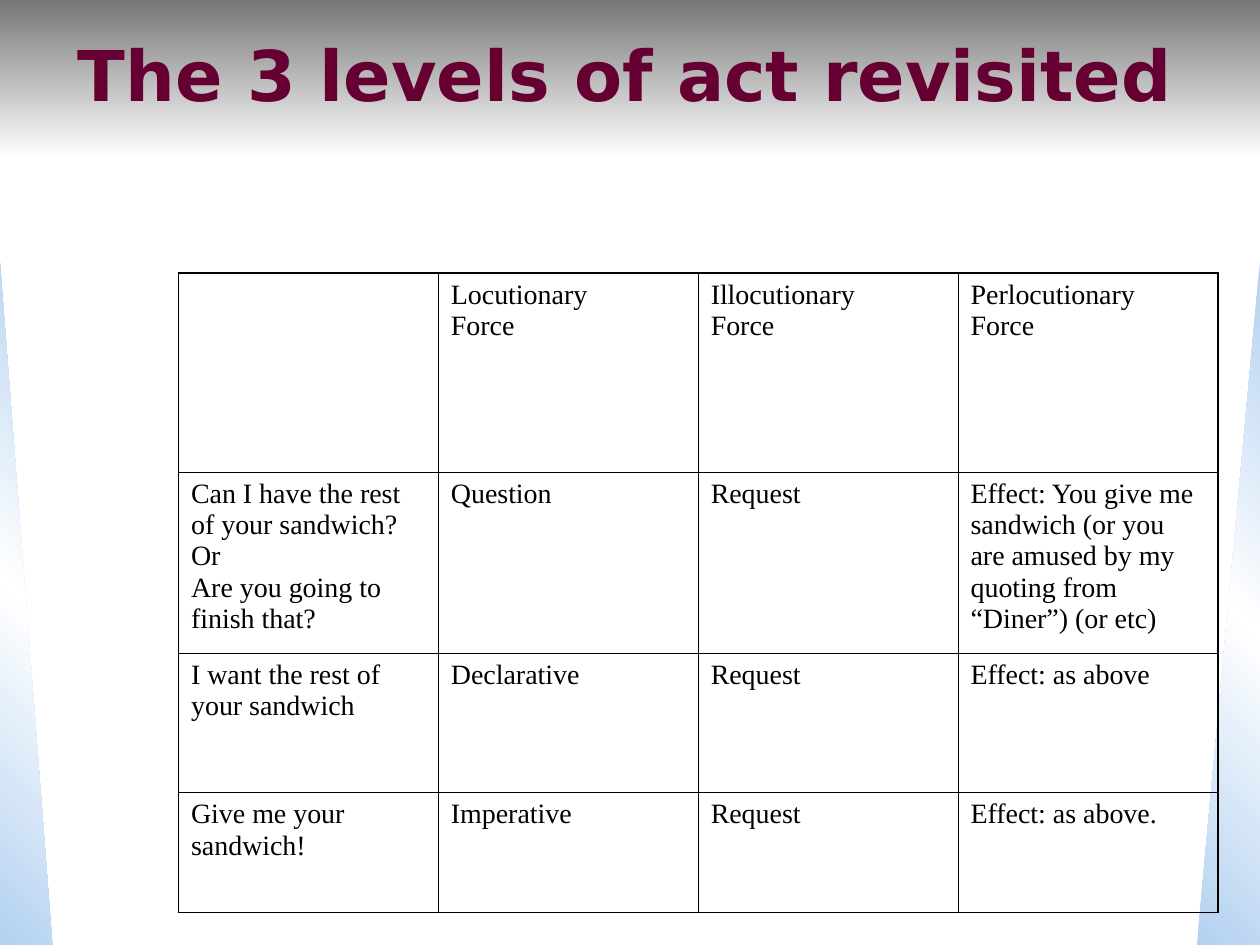
from copy import deepcopy

from lxml.etree import SubElement
from pptx import Presentation
from pptx.dml.color import RGBColor
from pptx.enum.shapes import MSO_SHAPE as Preset
from pptx.enum.text import MSO_ANCHOR as Anchor, PP_ALIGN as Align
from pptx.oxml.ns import qn
from pptx.util import Inches, Pt

BLACK = RGBColor(0x00, 0x00, 0x00)
WHITE = RGBColor(0xFF, 0xFF, 0xFF)
GRAY = RGBColor(0x77, 0x77, 0x77)
SKY = RGBColor(0xB3, 0xD1, 0xF0)
PLUM = RGBColor(0x66, 0x00, 0x33)

TITLE_FONT = {"name": "DejaVu Sans", "size": Pt(40), "bold": True}
CELL_FONT = {"name": "Times New Roman", "size": Pt(16), "bold": False}
OUTER, INNER = Pt(1.08), Pt(0.45)

ROW_HEIGHTS = [1.9, 1.72, 1.33, 1.14]
ACTS = [
    ["", "Locutionary\nForce", "Illocutionary\nForce", "Perlocutionary\nForce"],
    ["Can I have the rest of your sandwich?\nOr\nAre you going to finish that?",
     "Question", "Request",
     "Effect: You give me sandwich (or you are amused by my quoting from "
     "“Diner”) (or etc)"],
    ["I want the rest of your sandwich", "Declarative", "Request",
     "Effect: as above"],
    ["Give me your sandwich!", "Imperative", "Request", "Effect: as above."],
]


class SlideBuilder:
    """Places elements on a grid of 12 columns by 9 rows."""

    def __init__(self):
        self.deck = Presentation()
        self.deck.slide_width, self.deck.slide_height = Inches(10), Inches(7.5)
        self.unit = self.deck.slide_width / 12
        self.page = self.deck.slides.add_slide(self.deck.slide_layouts[5])
        fill = self.page.background.fill
        fill.solid()
        fill.fore_color.rgb = WHITE

    def grid(self, *lengths):
        return [round(length * self.unit) for length in lengths]

    def style(self, para, format_values, color):
        for name, value in format_values.items():
            setattr(para.font, name, value)
        para.font.color.rgb = color

    def gradient_shape(self, preset, area, colors, angle, flipped=False):
        shape = self.page.shapes.add_shape(preset, *self.grid(*area))
        shape.shadow.inherit = False
        shape.line.fill.background()
        shape.fill.gradient()
        # python-pptx counts the angle counter-clockwise
        shape.fill.gradient_angle = 360 - angle
        stop_list = shape._element.spPr.find(".//" + qn("a:gsLst"))
        while len(stop_list) < len(colors):
            stop_list.append(deepcopy(stop_list[0]))
        for index, (stop, color) in enumerate(
                zip(shape.fill.gradient_stops, colors)):
            stop.position = index / (len(colors) - 1)
            stop.color.rgb = color
        if flipped:
            shape._element.spPr.find(qn("a:xfrm")).set("flipH", "1")

    def title(self, text, area):
        box = self.page.shapes.title
        box.left, box.top, box.width, box.height = self.grid(*area)
        # Bring the title in front of the backdrop
        self.page.shapes._spTree.append(box._element)
        frame = box.text_frame
        frame.text = text
        frame.vertical_anchor = Anchor.MIDDLE
        para = frame.paragraphs[0]
        para.alignment = Align.CENTER
        self.style(para, TITLE_FONT, PLUM)

    def borders(self, cell, widths):
        properties = cell._tc.get_or_add_tcPr()
        for index, (side, width) in enumerate(widths.items()):
            line = SubElement(properties, qn(f"a:ln{side}"), w=str(int(width)))
            fill = SubElement(line, qn("a:solidFill"))
            SubElement(fill, qn("a:srgbClr"), val=str(BLACK))
            properties.insert(index, line)

    def table(self, rows, area, heights):
        count, columns = len(rows), len(rows[0])
        table = self.page.shapes.add_table(
            count, columns, *self.grid(*area, sum(heights))).table
        table.first_row = table.horz_banding = False
        for row, height in zip(table.rows, self.grid(*heights)):
            row.height = height
        for r, texts in enumerate(rows):
            for c, text in enumerate(texts):
                cell = table.cell(r, c)
                cell.text = text
                cell.fill.background()
                for para in cell.text_frame.paragraphs:
                    self.style(para, CELL_FONT, BLACK)
                edges = {"L": c == 0, "R": c == columns - 1,
                         "T": r == 0, "B": r == count - 1}
                self.borders(cell, {side: OUTER if edge else INNER
                                    for side, edge in edges.items()})


def main():
    builder = SlideBuilder()

    # Backdrop: header band and the two side wedges
    builder.gradient_shape(Preset.RECTANGLE, (0, 0, 12, 1.5), [GRAY, WHITE], 90)
    wedge_colors = [SKY, WHITE, SKY]
    builder.gradient_shape(Preset.RIGHT_TRIANGLE, (0, 2.5, 0.5, 6.5),
                           wedge_colors, 135)
    builder.gradient_shape(Preset.RIGHT_TRIANGLE, (11.4, 2.5, 0.6, 6.5),
                           wedge_colors, 225, flipped=True)

    # Title and table of speech acts
    builder.title("The 3 levels of act revisited", (0.1, 0, 11.7, 1.4))
    builder.table(ACTS, (1.7, 2.6, 9.9), ROW_HEIGHTS)

    builder.deck.save("out.pptx")


if __name__ == "__main__":
    main()
